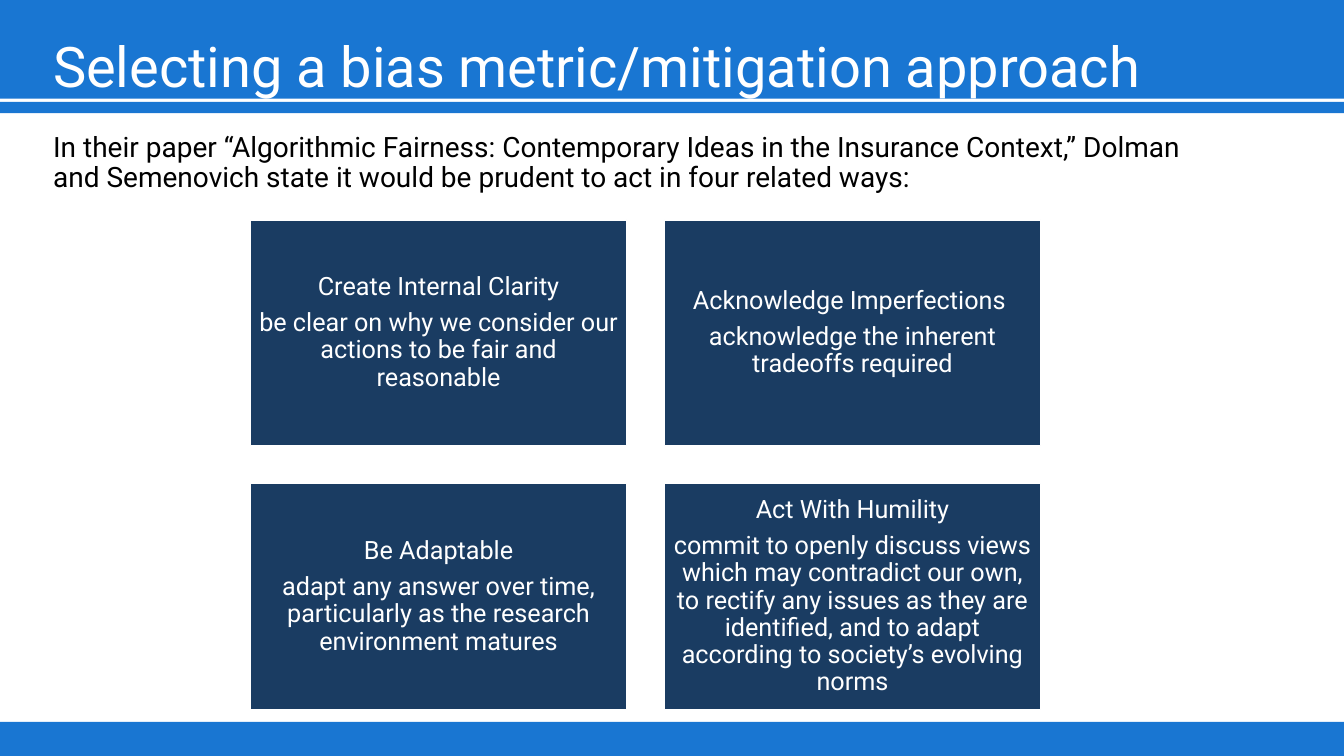
from pptx import Presentation
from pptx.dml.color import RGBColor
from pptx.enum.shapes import MSO_SHAPE
from pptx.enum.text import MSO_ANCHOR, PP_ALIGN
from pptx.util import Cm, Pt

RECTANGLE = MSO_SHAPE.RECTANGLE
TOP, MIDDLE = MSO_ANCHOR.TOP, MSO_ANCHOR.MIDDLE
LEFT, CENTER = PP_ALIGN.LEFT, PP_ALIGN.CENTER

FONT = "Roboto"
COLORS = {"band": "1976D2", "card": "1A3C62", "white": "FFFFFF", "black": "000000"}

PAGE_WIDTH, PAGE_HEIGHT = 33.87, 19.05
BANDS = [(0, 2.49), (2.57, 0.28), (18.19, 0.86)]

CARD_LEFT, CARD_TOP = 6.32, 5.54
CARD_WIDTH, CARD_HEIGHT = 9.47, 5.69
CARD_GAP = 0.96
CARD_INSET = 0.18
COLUMNS = 2

TITLE = "Selecting a bias metric/mitigation approach"
INTRO = (
    "In their paper “Algorithmic Fairness: Contemporary Ideas in the Insurance Context,” "
    "Dolman and Semenovich state it would be prudent to act in four related ways:"
)
CARDS = [
    ("Create Internal Clarity",
     "be clear on why we consider our actions to be fair and reasonable"),
    ("Acknowledge Imperfections ",
     "acknowledge the inherent tradeoffs required"),
    ("Be Adaptable",
     "adapt any answer over time, particularly as the research environment matures"),
    ("Act With Humility",
     "commit to openly discuss views which may contradict our own, to rectify any issues "
     "as they are identified, and to adapt according to society’s evolving norms"),
]


def color(name):
    return RGBColor.from_string(COLORS[name])


def add_rectangle(page, left, top, width, height, fill):
    shape = page.shapes.add_shape(RECTANGLE, Cm(left), Cm(top), Cm(width), Cm(height))
    shape.shadow.inherit = False
    shape.fill.solid()
    shape.fill.fore_color.rgb = color(fill)
    shape.line.fill.background()
    return shape


def write_text(frame, lines, size, ink, anchor, align, spacing, after=0):
    frame.word_wrap = True
    frame.vertical_anchor = anchor
    for index, line in enumerate(lines):
        paragraph = frame.paragraphs[0] if index == 0 else frame.add_paragraph()
        paragraph.text = line
        paragraph.alignment = align
        paragraph.line_spacing = spacing
        paragraph.space_after = Pt(after)
        paragraph.font.name = FONT
        paragraph.font.size = Pt(size)
        paragraph.font.color.rgb = color(ink)


def add_text(page, left, top, width, height, text, size, ink, anchor, spacing):
    box = page.shapes.add_textbox(Cm(left), Cm(top), Cm(width), Cm(height))
    write_text(box.text_frame, [text], size, ink, anchor, LEFT, spacing)


def add_card(page, index, lines):
    row, column = divmod(index, COLUMNS)
    left = CARD_LEFT + column * (CARD_WIDTH + CARD_GAP)
    top = CARD_TOP + row * (CARD_HEIGHT + CARD_GAP)
    card = add_rectangle(page, left, top, CARD_WIDTH, CARD_HEIGHT, "card")
    card.line.color.rgb = color("white")
    card.line.width = Pt(1)
    frame = card.text_frame
    frame.margin_left = frame.margin_right = Cm(CARD_INSET)
    frame.margin_top = frame.margin_bottom = Cm(CARD_INSET)
    write_text(frame, lines, 18, "white", MIDDLE, CENTER, 0.9, after=6.3)


def main():
    deck = Presentation()
    deck.slide_width, deck.slide_height = Cm(PAGE_WIDTH), Cm(PAGE_HEIGHT)
    page = deck.slides.add_slide(deck.slide_layouts[6])

    for top, height in BANDS:
        add_rectangle(page, 0, top, PAGE_WIDTH, height, "band")
    add_text(page, 1.09, 0.38, 31.67, 2.18, TITLE, 40, "white", MIDDLE, 1.2)
    add_text(page, 1.09, 3.23, 29.26, 2, INTRO, 20, "black", TOP, 0.9)
    for index, lines in enumerate(CARDS):
        add_card(page, index, lines)

    deck.save("out.pptx")


if __name__ == "__main__":
    main()
